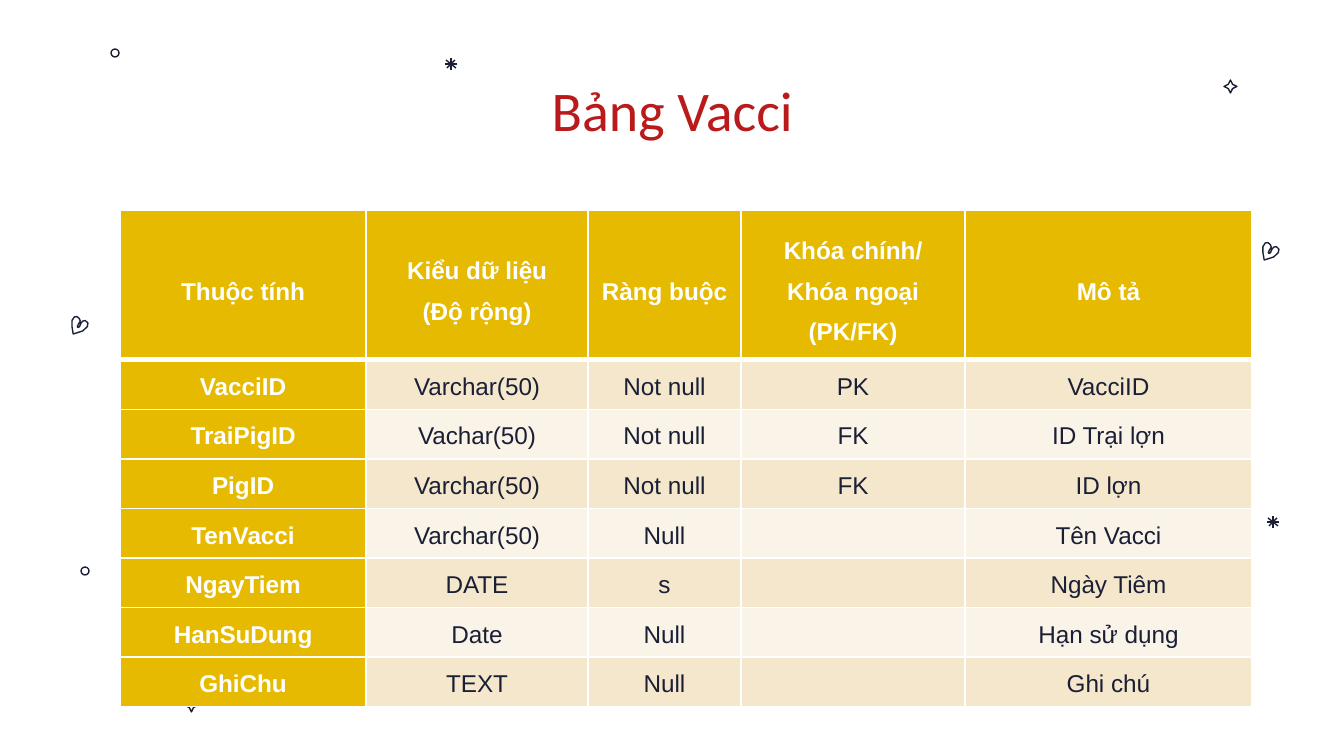
from dataclasses import dataclass

from lxml.etree import SubElement
from pptx import Presentation
from pptx.dml.color import RGBColor
from pptx.enum.shapes import MSO_CONNECTOR, MSO_SHAPE
from pptx.enum.text import MSO_ANCHOR, MSO_AUTO_SIZE, PP_ALIGN
from pptx.oxml.ns import qn
from pptx.util import Emu, Pt

PX = 914400 / 134.4
INK = RGBColor(0x1A, 0x1F, 0x36)
RED = RGBColor(0xB9, 0x1A, 0x1B)
GOLD = RGBColor(0xE5, 0xBA, 0x00)
SAND = RGBColor(0xF5, 0xE7, 0xCC)
CREAM = RGBColor(0xFA, 0xF3, 0xE7)
WHITE = RGBColor(0xFF, 0xFF, 0xFF)


@dataclass
class Preset:
    kind: MSO_SHAPE
    left: int
    top: int
    size: int


@dataclass
class Spot:
    x: int
    y: int


PRESETS = [
    Preset(MSO_SHAPE.OVAL, 111, 49, 8),
    Preset(MSO_SHAPE.OVAL, 81, 567, 8),
    Preset(MSO_SHAPE.STAR_4_POINT, 1224, 80, 13),
    Preset(MSO_SHAPE.STAR_4_POINT, 185, 699, 13),
]
ASTERISK_CENTRES = [Spot(451, 64), Spot(1273, 522)]
HEART_CORNERS = [Spot(71, 316), Spot(1262, 242)]
# Tenths of a px, from the tip up the left lobe, round the curl and back.
HEART_OUTLINE = [
    (23, 180), (10, 106), (10, 46), (34, 10), (60, 6), (84, 26), (94, 52),
    (76, 80), (64, 106), (72, 116), (86, 106), (100, 74), (118, 52),
    (144, 46), (170, 72), (164, 106), (118, 150),
]

COLUMN_WIDTHS = [246, 222, 153, 224, 287]
HEADER_HEIGHT = 150
BODY_HEIGHT = 347
ROWS = [
    ("Thuộc tính", "Kiểu dữ liệu\n(Độ rộng)", "Ràng buộc",
     "Khóa chính/\vKhóa ngoại\v(PK/FK)", "Mô tả"),
    ("VacciID", "Varchar(50)", "Not null", "PK", "VacciID"),
    ("TraiPigID", "Vachar(50)", "Not null", "FK", "ID Trại lợn"),
    ("PigID", "Varchar(50)", "Not null", "FK", "ID lợn"),
    ("TenVacci", "Varchar(50)", "Null", "", "Tên Vacci"),
    ("NgayTiem", "DATE", "s", "", "Ngày Tiêm"),
    ("HanSuDung", "Date", "Null", "", "Hạn sử dụng"),
    ("GhiChu", "TEXT", "Null", "", "Ghi chú"),
]


def px(length: float) -> Emu:
    return Emu(round(length * PX))


def write(frame, text: str, *, font: str, size: int, color: RGBColor,
          bold: bool = False, spacing: float = 1.0) -> None:
    frame.text = text
    for para in frame.paragraphs:
        para.alignment = PP_ALIGN.CENTER
        para.line_spacing = spacing
        para.font.size = Pt(size)
        for span in para.runs:
            span.font.name = font
            span.font.size = Pt(size)
            span.font.bold = bold
            span.font.color.rgb = color


def outline(shape) -> None:
    shape.shadow.inherit = False
    shape.fill.background()
    shape.line.color.rgb = INK
    shape.line.width = Pt(0.75)


def draw_preset(page, preset: Preset) -> None:
    shape = page.shapes.add_shape(preset.kind, px(preset.left), px(preset.top),
                                  px(preset.size), px(preset.size))
    if preset.kind == MSO_SHAPE.STAR_4_POINT:
        shape.adjustments[0] = 0.23
    outline(shape)


def draw_asterisk(page, centre: Spot) -> None:
    for dx, dy in [(0, 6), (6, 0), (5, 4), (4, -4)]:
        stroke = page.shapes.add_connector(
            MSO_CONNECTOR.STRAIGHT, px(centre.x - dx), px(centre.y - dy),
            px(centre.x + dx), px(centre.y + dy))
        stroke.line.color.rgb = INK
        stroke.line.width = Pt(0.75)
        SubElement(stroke._element.spPr, qn("a:effectLst"))


def draw_heart(page, corner: Spot) -> None:
    builder = page.shapes.build_freeform(*HEART_OUTLINE[0], scale=PX / 10)
    builder.add_line_segments(HEART_OUTLINE[1:], close=True)
    outline(builder.convert_to_shape(px(corner.x), px(corner.y)))


def add_borders(cell, *, top: int, bottom: int) -> None:
    """Give a cell white borders, with top and bottom widths in points."""
    properties = cell._tc.get_or_add_tcPr()
    for side, width in [("L", 1), ("R", 1), ("T", top), ("B", bottom)]:
        line = SubElement(properties, qn(f"a:ln{side}"), w=str(Pt(width)))
        fill = SubElement(line, qn("a:solidFill"))
        SubElement(fill, qn("a:srgbClr"), val=str(WHITE))


def draw_table(page, left: int, top: int) -> None:
    table = page.shapes.add_table(
        len(ROWS), len(COLUMN_WIDTHS), px(left), px(top),
        px(sum(COLUMN_WIDTHS)), px(HEADER_HEIGHT + BODY_HEIGHT)).table
    for column, width in zip(table.columns, COLUMN_WIDTHS):
        column.width = px(width)
    body_count = len(ROWS) - 1
    for r, texts in enumerate(ROWS):
        table.rows[r].height = px(BODY_HEIGHT / body_count if r else HEADER_HEIGHT)
        for c, text in enumerate(texts):
            cell = table.cell(r, c)
            strong = r == 0 or c == 0
            add_borders(cell, top=3 if r == 1 else 1, bottom=1 if r else 3)
            cell.fill.solid()
            cell.fill.fore_color.rgb = GOLD if strong else SAND if r % 2 else CREAM
            cell.margin_left = cell.margin_right = px(9)
            cell.margin_top = cell.margin_bottom = 0
            cell.vertical_anchor = MSO_ANCHOR.TOP if r else MSO_ANCHOR.MIDDLE
            write(cell.text_frame, text, font="Arial", size=13, bold=strong,
                  color=WHITE if strong else INK, spacing=1.5)


def draw_title(page, text: str) -> None:
    title = page.shapes.title
    title.left, title.top, title.width, title.height = map(px, (106, 79, 1133, 60))
    frame = title.text_frame
    frame.auto_size = MSO_AUTO_SIZE.NONE
    frame.vertical_anchor = MSO_ANCHOR.MIDDLE
    frame.margin_left = frame.margin_right = px(13)
    frame.margin_top = frame.margin_bottom = px(13)
    write(frame, text, font="Calibri", size=30, color=RED)


def main() -> None:
    deck = Presentation()
    deck.slide_width, deck.slide_height = px(1344), px(756)
    page = deck.slides.add_slide(deck.slide_layouts[5])
    for preset in PRESETS:
        draw_preset(page, preset)
    for centre in ASTERISK_CENTRES:
        draw_asterisk(page, centre)
    for corner in HEART_CORNERS:
        draw_heart(page, corner)
    draw_title(page, "Bảng Vacci")
    draw_table(page, 120, 210)
    deck.save("out.pptx")


if __name__ == "__main__":
    main()
